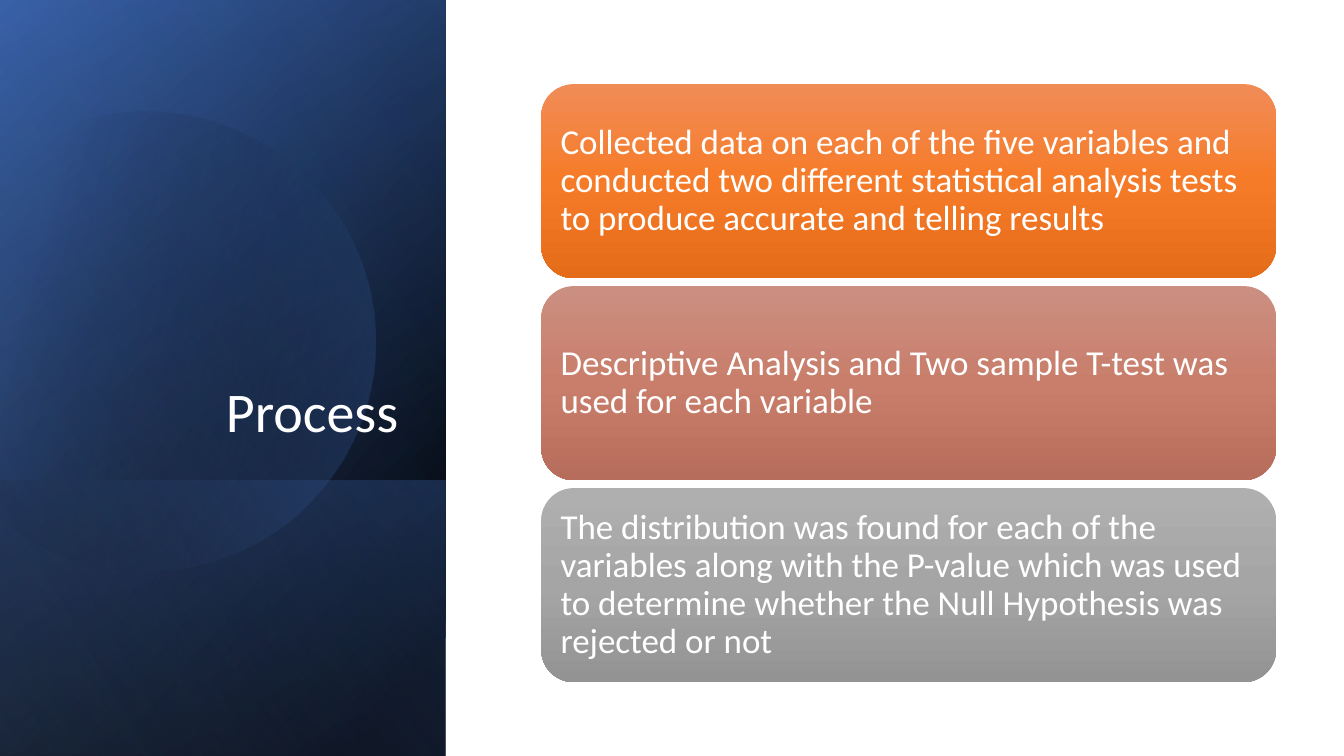
from math import cos, radians, sin, tan

from lxml import etree
from pptx import Presentation
from pptx import util as u
from pptx.dml.color import RGBColor
from pptx.enum import shapes, text
from pptx.oxml.ns import qn

BLACK = RGBColor(0x00, 0x00, 0x00)
WHITE = RGBColor(0xFF, 0xFF, 0xFF)
NAVY = RGBColor(0x2F, 0x55, 0x97)
BLUE = RGBColor(0x44, 0x72, 0xC4)
SKY = RGBColor(0x8F, 0xAA, 0xDC)
ORANGE = [RGBColor(0xF1, 0x8C, 0x57), RGBColor(0xF6, 0x7B, 0x28), RGBColor(0xE5, 0x6C, 0x19)]
CLAY = [RGBColor(0xCB, 0x8F, 0x81), RGBColor(0xC9, 0x7E, 0x6B), RGBColor(0xB7, 0x6D, 0x5B)]
GREY = [RGBColor(0xAF, 0xAF, 0xAF), RGBColor(0xA5, 0xA5, 0xA5), RGBColor(0x93, 0x93, 0x93)]


def paint(shape, stops, angle):
    """Fill with a gradient of (percent, colour, opacity) stops, no line or shadow."""
    shape.shadow.inherit = False
    shape.line.fill.background()
    shape.fill.gradient()
    grad = shape._element.spPr.find(qn("a:gradFill"))
    grad.clear()
    grad.set("rotWithShape", "1")
    row = etree.SubElement(grad, qn("a:gsLst"))
    for pos, color, alpha in stops:
        stop = etree.SubElement(row, qn("a:gs"), pos=str(pos * 1000))
        tint = etree.SubElement(stop, qn("a:srgbClr"), val=str(color))
        if alpha < 100:
            etree.SubElement(tint, qn("a:alpha"), val=str(alpha * 1000))
    etree.SubElement(grad, qn("a:lin"), ang=str(angle * 60000), scaled="0")


def write(frame, words, size, align):
    """Put one paragraph of white text in a frame."""
    frame.word_wrap = True
    frame.auto_size = text.MSO_AUTO_SIZE.NONE
    para = frame.paragraphs[0]
    para.alignment = align
    para.line_spacing = 0.9
    run = para.add_run()
    run.text = words
    run.font.size = u.Pt(size)
    run.font.name = "Calibri"
    run.font.color.rgb = WHITE


deck = Presentation()
deck.slide_width, deck.slide_height = u.Cm(33.87), u.Cm(19.05)
slide = deck.slides.add_slide(deck.slide_layouts[5])
tree = slide.shapes

# Side panel: turned rectangles that rest on the bottom edge
WIDE, HIGH = 11.23, 19.05
panels = [
    (HIGH, [(8, BLACK, 100), (100, NAVY, 100)], 50),
    (HIGH, [(0, BLACK, 0), (99, BLUE, 46)], 30),
    (6.95, [(2, BLUE, 29), (100, BLACK, 30)], 130),
    (HIGH, [(0, BLACK, 0), (99, SKY, 11)], 120),
]
for size, stops, angle in panels:
    panel = tree.add_shape(
        shapes.MSO_SHAPE.RECTANGLE,
        u.Cm((WIDE - size) / 2), u.Cm(HIGH - (size + WIDE) / 2),
        u.Cm(size), u.Cm(WIDE))
    panel.rotation = 90
    panel._element.spPr.xfrm.set("flipH", "1")
    paint(panel, stops, angle)

# Disc cut off at the left, tilted, below the last panel
MIDX, MIDY, RADIUS = 3.65, 8.5, 5.8
turns = [radians(a) for a in (-118, -90, 0, 90, 150)]
rim = [(u.Cm(MIDX + RADIUS * cos(t)), u.Cm(MIDY + RADIUS * sin(t))) for t in turns]
pen = tree.build_freeform(*rim[0])
pen.add_line_segments(rim[1:], close=True)
disc = pen.convert_to_shape()

# Bend the straight sides of the disc into arcs
sides = list(disc._element.iter(qn("a:lnTo")))
for side, a, b, (ax, ay), (bx, by) in zip(sides, turns, turns[1:], rim, rim[1:]):
    pull = u.Cm(RADIUS * 4 / 3 * tan((b - a) / 4))
    curve = etree.Element(qn("a:cubicBezTo"))
    for x, y in ((ax - pull * sin(a), ay + pull * cos(a)),
                 (bx + pull * sin(b), by - pull * cos(b)), (bx, by)):
        etree.SubElement(curve, qn("a:pt"),
                         x=str(round(x - disc.left)), y=str(round(y - disc.top)))
    side.getparent().replace(side, curve)
disc.rotation = -16.1
paint(disc, [(29, BLACK, 0), (100, BLUE, 43)], 30)
panel._element.addprevious(disc._element)

# Title, in front of the panel
title = tree.title
title.left, title.top = u.Cm(1.63), u.Cm(4.67)
title.width, title.height = u.Cm(8.66), u.Cm(6.65)
title.text_frame.vertical_anchor = text.MSO_ANCHOR.BOTTOM
write(title.text_frame, "Process", 40, text.PP_ALIGN.RIGHT)
panel._element.addnext(title._element)

# Step cards
cards = [
    (ORANGE, "Collected data on each of the five variables and conducted two different "
             "statistical analysis tests to produce accurate and telling results"),
    (CLAY, "Descriptive Analysis and Two sample T-test was used for each variable"),
    (GREY, "The distribution was found for each of the variables along with the P-value "
           "which was used to determine whether the Null Hypothesis was rejected or not"),
]
for i, (tones, words) in enumerate(cards):
    card = tree.add_shape(
        shapes.MSO_SHAPE.ROUNDED_RECTANGLE,
        u.Cm(13.64), u.Cm(2.12 + 5.09 * i), u.Cm(18.52), u.Cm(4.89))
    paint(card, [(50 * n, tone, 100) for n, tone in enumerate(tones)], 90)
    frame = card.text_frame
    frame.margin_left = frame.margin_right = u.Cm(0.25)
    frame.margin_top = frame.margin_bottom = u.Cm(0.25)
    frame.vertical_anchor = text.MSO_ANCHOR.MIDDLE
    write(frame, words, 25, text.PP_ALIGN.LEFT)

deck.save("out.pptx")
